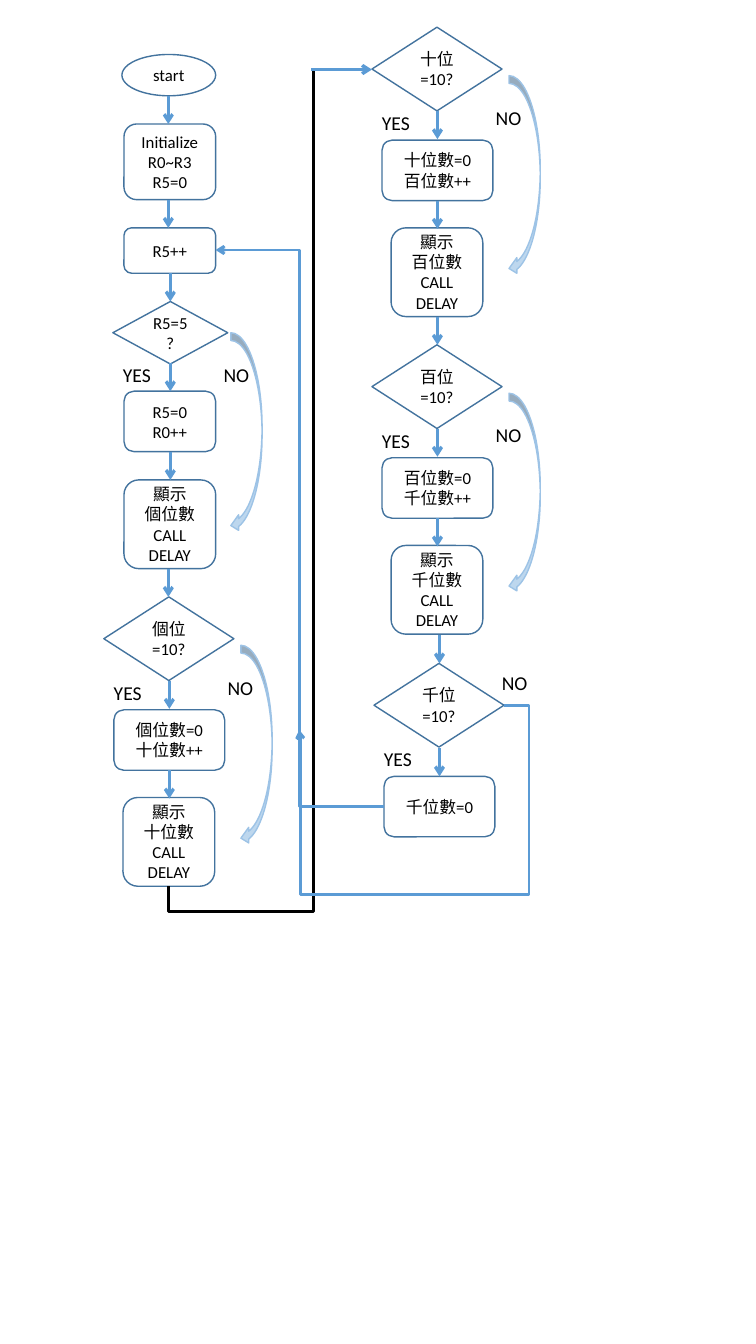
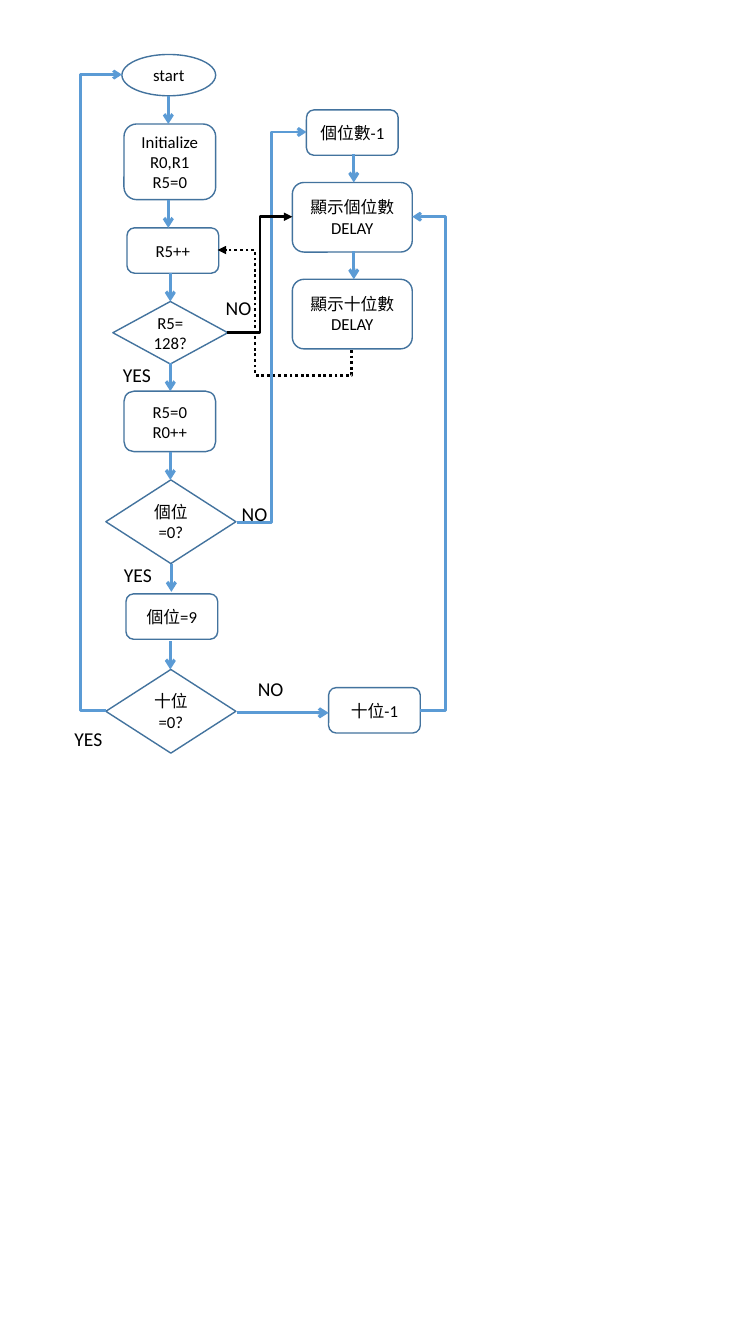
from lxml import etree
from pptx import Presentation
from pptx.dml.color import RGBColor
from pptx.enum.dml import MSO_LINE
from pptx.enum.shapes import MSO_CONNECTOR, MSO_SHAPE
from pptx.enum.text import MSO_ANCHOR, MSO_AUTO_SIZE, PP_ALIGN
from pptx.oxml.ns import qn
from pptx.util import Inches, Pt

STRAIGHT, ELBOW = MSO_CONNECTOR.STRAIGHT, MSO_CONNECTOR.ELBOW
OVAL, ROUNDED = MSO_SHAPE.OVAL, MSO_SHAPE.ROUNDED_RECTANGLE
DIAMOND, CURVED = MSO_SHAPE.FLOWCHART_DECISION, MSO_SHAPE.CURVED_LEFT_ARROW
DOTTED = MSO_LINE.ROUND_DOT
CENTER, LEFT, MIDDLE = PP_ALIGN.CENTER, PP_ALIGN.LEFT, MSO_ANCHOR.MIDDLE
GROW = MSO_AUTO_SIZE.SHAPE_TO_FIT_TEXT

FONT = "Calibri"
BLACK, BLUE, OUTLINE = "000000", "5B9BD5", "43739E"
SKIP_FILL, SKIP_LINE = "BDD7EE", "9DC3E6"
ARROW_LENGTH = 0.28
NODE_KINDS = {
    "start": (OVAL, 0.93, 0.41),
    "initialize": (ROUNDED, 0.91, 0.75),
    "step": (ROUNDED, 0.91, 0.45),
    "reset": (ROUNDED, 0.91, 0.6),
    "carry": (ROUNDED, 1.1, 0.6),
    "show": (ROUNDED, 0.91, 0.88),
    "wide": (ROUNDED, 1.19, 0.69),
    "count": (DIAMOND, 1.14, 0.62),
    "digit": (DIAMOND, 1.29, 0.83),
}


def write(shape, text, size, alignment):
    shape.text_frame.text = text
    for paragraph in shape.text_frame.paragraphs:
        paragraph.alignment = alignment
        for run in paragraph.runs:
            run.font.name = FONT
            run.font.size = Pt(size)
            run.font.color.rgb = RGBColor.from_string(BLACK)


def draw_line(slide, points, color=BLUE, head="arrow", dash=None):
    begin, end = points[0], points[-1]
    bent = len(points) > 2
    turned = bent and points[1][0] == begin[0]
    corners = [begin, end]
    if turned:
        middle_x, middle_y = (begin[0] + end[0]) / 2, (begin[1] + end[1]) / 2
        corners = [(middle_x + y - middle_y, middle_y - x + middle_x) for x, y in corners]
    (x1, y1), (x2, y2) = corners
    connector = slide.shapes.add_connector(
        ELBOW if bent else STRAIGHT, Inches(x1), Inches(y1), Inches(x2), Inches(y2))
    properties = connector._element.spPr
    if turned:
        properties.find(qn("a:xfrm")).set("rot", "5400000")
    if bent:
        geometry = properties.find(qn("a:prstGeom"))
        geometry.set("prst", f"bentConnector{len(points) - 1}")
        guides = geometry.find(qn("a:avLst"))
        for index, bend in enumerate(points[2:-1]):
            axis = (index + turned) % 2
            share = (bend[axis] - begin[axis]) / (end[axis] - begin[axis])
            etree.SubElement(guides, qn("a:gd"), name=f"adj{index + 1}",
                             fmla=f"val {round(share * 100000)}")
    connector.line.color.rgb = RGBColor.from_string(color)
    connector.line.width = Pt(2 if bent else 2.25)
    if dash:
        connector.line.dash_style = dash
    if head:
        etree.SubElement(properties.find(qn("a:ln")), qn("a:tailEnd"), type=head)
    etree.SubElement(properties, qn("a:effectLst"))


shared_nodes = [
    ("start", 1.21, 0.54, "start"),
    ("reset", 1.23, 3.88, "R5=0\nR0++"),
]
shared_arrows = [(1.67, 0.95), (1.67, 1.98), (1.69, 2.71), (1.69, 3.6), (1.69, 4.48)]
shared_labels = [("YES", 1.12, 3.55)]

count_up = {
    "nodes": shared_nodes + [
        ("initialize", 1.23, 1.23, "Initialize\nR0~R3\nR5=0"),
        ("step", 1.23, 2.26, "R5++"),
        ("count", 1.12, 2.99, "R5=5?"),
        ("show", 1.23, 4.76, "顯示\n個位數\nCALL DELAY"),
        ("digit", 3.71, 6.58, "千位\n=10?"),
        ("carry", 3.81, 7.7, "千位數=0"),
    ],
    "arrows": shared_arrows + [(1.67, 5.64), (4.34, 3.14), (4.36, 6.3), (4.36, 7.42)],
    "labels": shared_labels + [("NO", 2.12, 3.55), ("YES", 3.71, 7.36), ("NO", 4.88, 6.61)],
    "skips": [(2.29, 3.3)],
    "routes": [
        ([(1.67, 8.79), (1.67, 9.04), (3.11, 9.04), (3.11, 0.69)], BLACK, None, None),
        ([(3.09, 0.69), (3.69, 0.69)], BLUE, "arrow", None),
        ([(3.81, 8), (2.97, 8), (2.97, 2.48), (2.14, 2.48)], BLUE, "arrow", None),
        ([(5, 7), (5.25, 7), (5.25, 8.87), (2.98, 8.87), (2.98, 7.24), (2.97, 7.24)],
         BLUE, "arrow", None),
    ],
}
for digit, next_digit, left, top in [
    ("個", "十", 1.03, 5.92), ("十", "百", 3.69, 0.27), ("百", "千", 3.69, 3.42),
]:
    count_up["nodes"] += [
        ("digit", left, top, f"{digit}位\n=10?"),
        ("carry", left + 0.1, top + 1.12, f"{digit}位數=0\n{next_digit}位數++"),
        ("show", left + 0.19, top + 1.99, f"顯示\n{next_digit}位數\nCALL DELAY"),
    ]
    count_up["arrows"] += [(left + 0.65, top + 0.83), (left + 0.65, top + 1.72)]
    count_up["labels"] += [("YES", left, top + 0.78), ("NO", left + 1.13, top + 0.73)]
    count_up["skips"].append((left + 1.36, top + 0.48))

count_down = {
    "nodes": shared_nodes + [
        ("initialize", 1.23, 1.23, "Initialize\nR0,R1\nR5=0"),
        ("step", 1.26, 2.26, "R5++"),
        ("count", 1.12, 2.99, "R5=\n128?"),
        ("digit", 1.05, 4.76, "個位\n=0?"),
        ("step", 1.25, 5.89, "個位=9"),
        ("digit", 1.05, 6.64, "十位\n=0?"),
        ("step", 3.26, 6.82, "十位-1"),
        ("step", 3.04, 1.09, "個位數-1"),
        ("wide", 2.9, 1.81, "顯示個位數\nDELAY"),
        ("wide", 2.9, 2.77, "顯示十位數\nDELAY"),
    ],
    "arrows": shared_arrows + [(1.7, 5.59), (1.69, 6.36), (3.51, 1.53), (3.51, 2.49)],
    "labels": shared_labels + [
        ("NO", 2.14, 2.89), ("YES", 1.13, 5.53), ("NO", 2.46, 6.66),
        ("YES", 0.64, 7.16), ("NO", 2.3, 4.93),
    ],
    "skips": [],
    "routes": [
        ([(2.35, 5.18), (2.69, 5.18), (2.69, 1.31), (3.04, 1.31)], BLUE, "arrow", None),
        ([(2.25, 3.3), (2.58, 3.3), (2.58, 2.15), (2.9, 2.15)], BLACK, "triangle", None),
        ([(1.05, 7.05), (0.8, 7.05), (0.8, 0.74), (1.21, 0.74)], BLUE, "arrow", None),
        ([(2.35, 7.07), (3.26, 7.07)], BLUE, "arrow", None),
        ([(4.17, 7.05), (4.42, 7.05), (4.42, 2.15), (4.09, 2.15)], BLUE, "arrow", None),
        ([(3.49, 3.47), (3.49, 3.72), (2.53, 3.72), (2.53, 2.48), (2.16, 2.48)],
         BLACK, "triangle", DOTTED),
    ],
}

presentation = Presentation()
presentation.slide_width = Inches(7.5)
presentation.slide_height = Inches(13.33)
blank_layout = presentation.slide_layouts[6]

for chart in (count_up, count_down):
    slide = presentation.slides.add_slide(blank_layout)
    for kind, left, top, text in chart["nodes"]:
        preset, width, height = NODE_KINDS[kind]
        node = slide.shapes.add_shape(
            preset, Inches(left), Inches(top), Inches(width), Inches(height))
        node.shadow.inherit = False
        node.fill.background()
        node.line.color.rgb = RGBColor.from_string(OUTLINE)
        node.line.width = Pt(1)
        node.text_frame.vertical_anchor = MIDDLE
        write(node, text, 12, CENTER)
    for left, top in chart["skips"]:
        skip = slide.shapes.add_shape(
            CURVED, Inches(left), Inches(top), Inches(0.31), Inches(1.99))
        skip.shadow.inherit = False
        skip.fill.solid()
        skip.fill.fore_color.rgb = RGBColor.from_string(SKIP_FILL)
        skip.line.color.rgb = RGBColor.from_string(SKIP_LINE)
        skip.line.width = Pt(1)
    for x, top in chart["arrows"]:
        draw_line(slide, [(x, top), (x, top + ARROW_LENGTH)])
    for points, color, head, dash in chart["routes"]:
        draw_line(slide, points, color, head, dash)
    for text, left, top in chart["labels"]:
        width = 0.48 if text == "YES" else 0.46
        label = slide.shapes.add_textbox(
            Inches(left), Inches(top), Inches(width), Inches(0.34))
        label.text_frame.word_wrap = False
        label.text_frame.auto_size = GROW
        write(label, text, 14, LEFT)

presentation.save("out.pptx")
